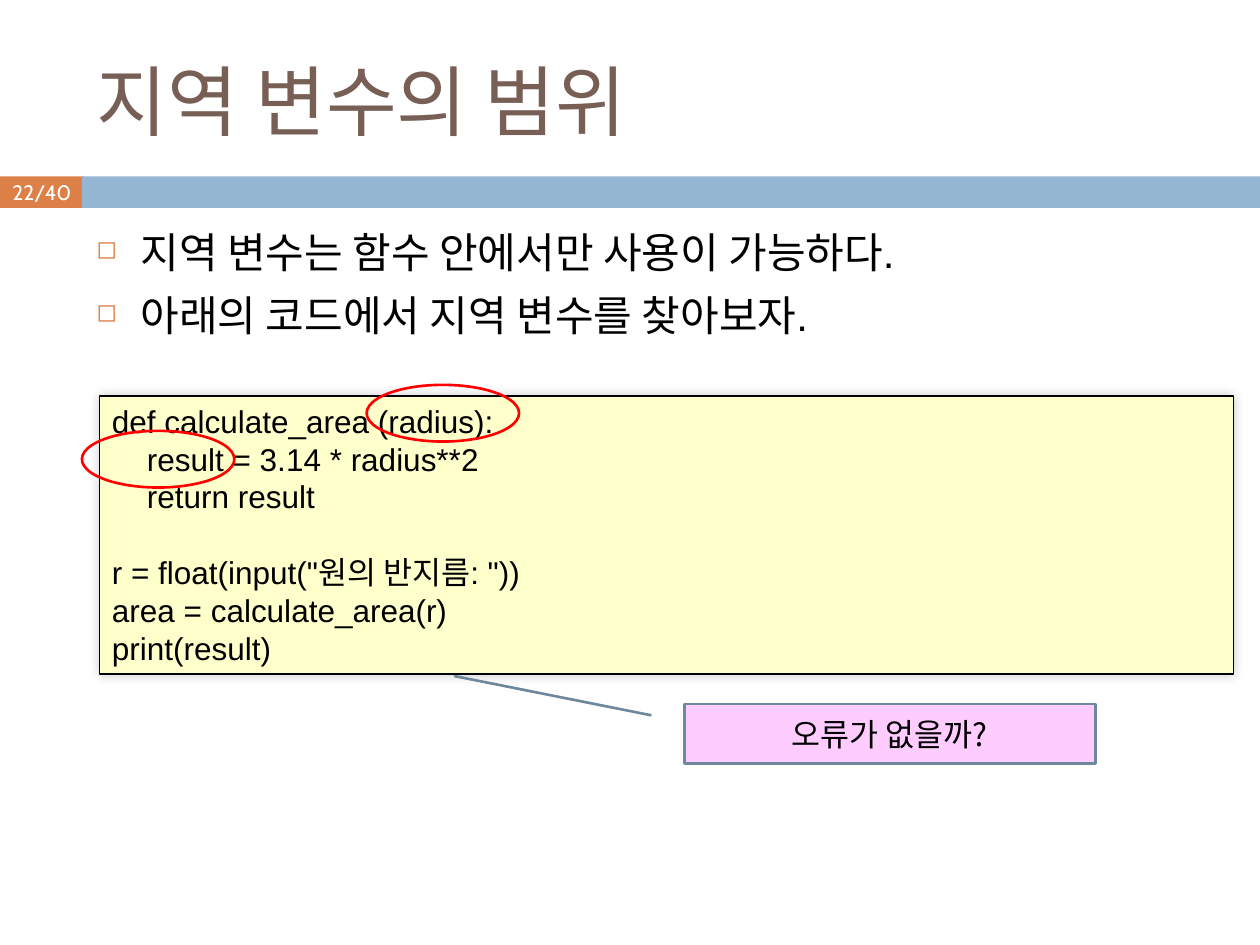
from dataclasses import dataclass

from lxml.etree import SubElement
from pptx import Presentation
from pptx.dml.color import RGBColor
from pptx.enum.shapes import MSO_SHAPE
from pptx.enum.text import MSO_ANCHOR, PP_ALIGN
from pptx.oxml.ns import qn
from pptx.util import Pt


@dataclass(frozen=True)
class Theme:
    brown: str = "775F55"
    orange: str = "DD8047"
    blue: str = "94B6D2"
    slate: str = "6D879B"
    code_yellow: str = "FFFFCC"
    note_pink: str = "FFCCFF"
    red: str = "FF0000"
    black: str = "000000"
    white: str = "FFFFFF"
    title_size: int = 44
    body_size: int = 24
    code_size: int = 18
    page_size: int = 12
    line_factor: float = 1.2
    korean_font: str = "Noto Sans CJK KR"


theme = Theme()
presentation = Presentation()
presentation.slide_width, presentation.slide_height = Pt(720), Pt(540)
slide = presentation.slides.add_slide(presentation.slide_layouts[6])


def add_box(kind, box, fill=None, line=None, line_width=1.5):
    shape = slide.shapes.add_shape(kind, *map(Pt, box))
    shape.shadow.inherit = False
    if fill:
        shape.fill.solid()
        shape.fill.fore_color.rgb = RGBColor.from_string(fill)
    else:
        shape.fill.background()
    if line:
        shape.line.color.rgb = RGBColor.from_string(line)
        shape.line.width = Pt(line_width)
    else:
        shape.line.fill.background()
    return shape


def write(shape, text, size, font, color, align=PP_ALIGN.LEFT, anchor=MSO_ANCHOR.MIDDLE):
    """Fill the shape with one paragraph per line of text, all in one style."""
    frame = shape.text_frame
    frame.text = text
    frame.word_wrap = True
    frame.vertical_anchor = anchor
    for paragraph in frame.paragraphs:
        paragraph.alignment = align
        for run in paragraph.runs:
            run.font.size = Pt(size)
            run.font.name = font
            run.font.color.rgb = RGBColor.from_string(color)
            SubElement(run.font._element, qn("a:ea"), typeface=theme.korean_font)
    return frame


# Header band with the page number
page_box = add_box(MSO_SHAPE.RECTANGLE, (0, 100.8, 48, 18), theme.orange)
page_frame = write(page_box, "22/40", theme.page_size, "Cabin", theme.white, PP_ALIGN.CENTER)
page_frame.word_wrap = False
add_box(MSO_SHAPE.RECTANGLE, (46.8, 100.8, 673.2, 18), theme.blue)

# Title
title = slide.shapes.add_textbox(Pt(48), Pt(18), Pt(642), Pt(78))
write(title, "지역 변수의 범위", theme.title_size, "Cabin", theme.brown)

# Bulleted statements
body = slide.shapes.add_textbox(Pt(48), Pt(126), Pt(642), Pt(354))
statements = "지역 변수는 함수 안에서만 사용이 가능하다.\n아래의 코드에서 지역 변수를 찾아보자."
body_frame = write(body, statements, theme.body_size, "Arial", theme.black, anchor=MSO_ANCHOR.TOP)
for index, paragraph in enumerate(body_frame.paragraphs):
    paragraph.line_spacing = Pt(theme.body_size * theme.line_factor)
    paragraph.space_before = Pt(7 if index else 0)
    properties = paragraph._p.get_or_add_pPr()
    properties.set("marL", str(Pt(25.2)))
    properties.set("indent", str(-Pt(25.2)))
    bullet_color = SubElement(properties, qn("a:buClr"))
    SubElement(bullet_color, qn("a:srgbClr"), val=theme.orange)
    SubElement(properties, qn("a:buSzPct"), val="60000")
    SubElement(properties, qn("a:buChar"), char="◻")

# Code listing: (indent level, starts a new block, text)
code_lines = [
    (0, False, "def calculate_area (radius):"),
    (1, False, "result = 3.14 * radius**2"),
    (1, False, "return result"),
    (0, True, 'r = float(input("원의 반지름: "))'),
    (0, False, "area = calculate_area(r)"),
    (0, False, "print(result)"),
]
code_box = add_box(MSO_SHAPE.RECTANGLE, (56.9, 226.1, 648, 159.1), theme.code_yellow, theme.black, 1)
code_text = "\n".join(text for _, _, text in code_lines)
code_frame = write(code_box, code_text, theme.code_size, "Arial", theme.black, anchor=MSO_ANCHOR.TOP)
code_pitch = Pt(theme.code_size * theme.line_factor)
for paragraph, (level, new_block, _) in zip(code_frame.paragraphs, code_lines):
    paragraph.line_spacing = code_pitch
    paragraph.space_before = code_pitch if new_block else Pt(0)
    paragraph._p.get_or_add_pPr().set("marL", str(Pt(20 * level)))

effects = code_box._element.spPr.find(qn("a:effectLst"))
shadow = SubElement(effects, qn("a:outerShdw"), blurRad=str(Pt(6)), dist="0", dir="18900000")
shadow_color = SubElement(shadow, qn("a:srgbClr"), val=theme.black)
SubElement(shadow_color, qn("a:alpha"), val="20000")

# Rings around the local variables
for left, top in ((209.5, 219.9), (46.8, 246.2)):
    add_box(MSO_SHAPE.OVAL, (left, top, 87.1, 32.4), line=theme.red)

# Question pointing back at the last code line
callout = add_box(MSO_SHAPE.LINE_CALLOUT_1, (391, 402.3, 234.9, 34.1), theme.note_pink, theme.slate)
for index, value in enumerate((0.19, -0.08, -0.47, -0.56)):
    callout.adjustments[index] = value
write(callout, "오류가 없을까?", theme.code_size, theme.korean_font, theme.black, PP_ALIGN.CENTER)

presentation.save("out.pptx")
